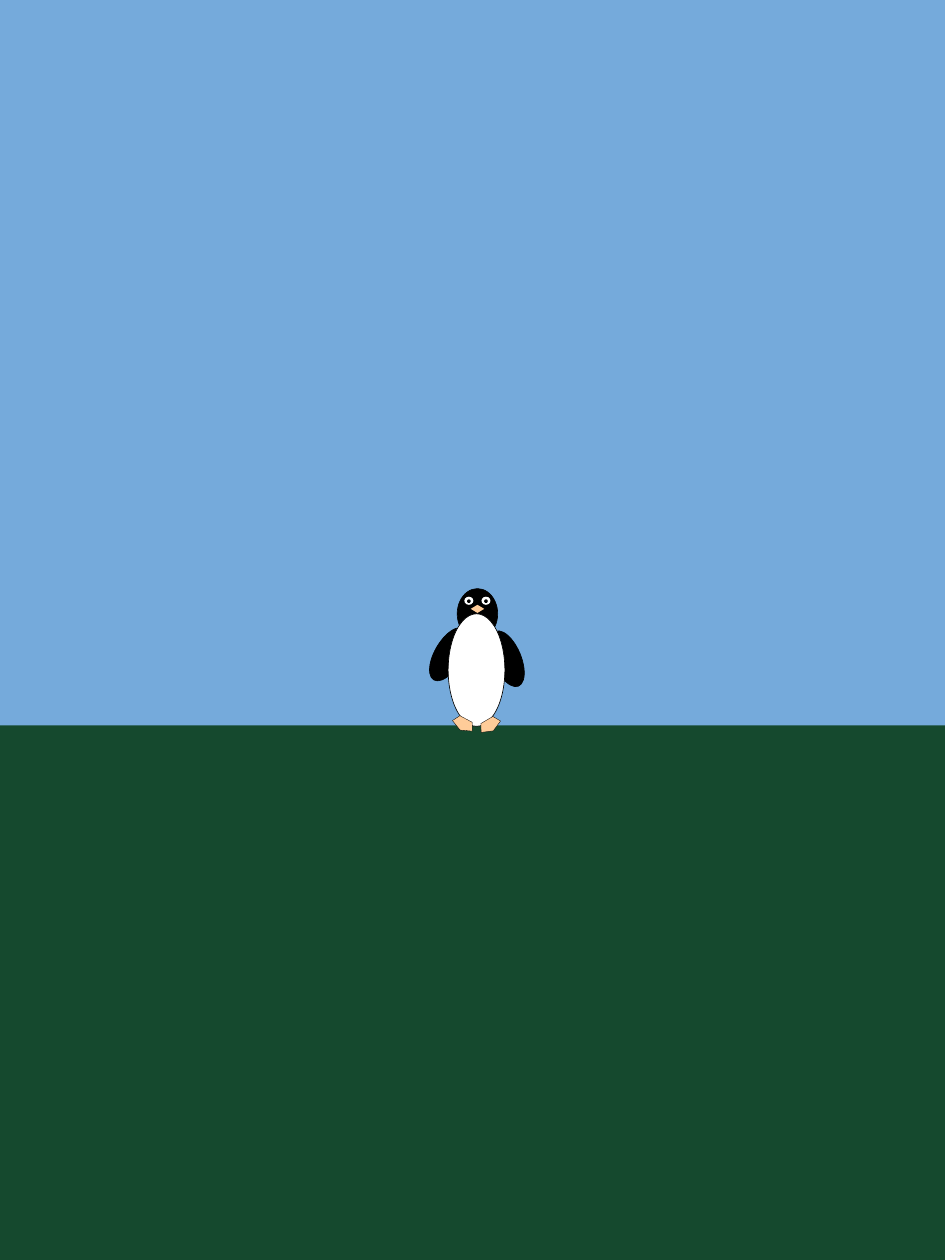
from dataclasses import dataclass

from pptx import Presentation
from pptx.dml.color import RGBColor
from pptx.enum.shapes import MSO_SHAPE
from pptx.util import Inches, Pt

RECTANGLE = MSO_SHAPE.RECTANGLE
OVAL = MSO_SHAPE.OVAL
PENTAGON = MSO_SHAPE.REGULAR_PENTAGON
DIAMOND = MSO_SHAPE.DIAMOND
BLANK_LAYOUT = 6
SLIDE_WIDTH, SLIDE_HEIGHT = 10.5, 14


@dataclass(frozen=True)
class Theme:
    sky: str = "75AADB"
    ground: str = "15492E"
    black: str = "000000"
    white: str = "FFFFFF"
    orange: str = "FFCC99"
    body_line: float = 0.5
    foot_line: float = 0.25


THEME = Theme()


def add_part(shapes, kind, box, fill, line_width=None, rotation=0):
    shape = shapes.add_shape(kind, *(Inches(length) for length in box))
    shape.shadow.inherit = False
    shape.rotation = rotation
    shape.fill.solid()
    shape.fill.fore_color.rgb = RGBColor.from_string(fill)
    if line_width is None:
        shape.line.fill.background()
    else:
        shape.line.color.rgb = RGBColor.from_string(THEME.black)
        shape.line.width = Pt(line_width)


def add_landscape(slide, left, top, width, height, horizon):
    ground_top = horizon - 0.08
    ground_box = (left, top + ground_top, width, height - ground_top)
    add_part(slide.shapes, RECTANGLE, ground_box, THEME.ground)
    add_part(slide.shapes, RECTANGLE, (left, top, width, horizon), THEME.sky)


def add_penguin(slide, left, top):
    penguin = slide.shapes.add_group_shape()
    body_line, foot_line = THEME.body_line, THEME.foot_line
    head = (OVAL, (0.28, 0.04, 0.45, 0.56), THEME.black, body_line, 0)
    left_wing = (OVAL, (0.03, 0.44, 0.31, 0.66), THEME.black, body_line, 30.1)
    right_wing = (OVAL, (0.68, 0.49, 0.31, 0.66), THEME.black, body_line, 337.4)
    belly = (OVAL, (0.18, 0.32, 0.63, 1.25), THEME.white, body_line, 0)
    eyes = [(OVAL, (x, 0.13, 0.1, 0.09), THEME.white, None, 0) for x in (0.36, 0.55)]
    pupils = [(OVAL, (x, 0.16, 0.04, 0.04), THEME.black, None, 0) for x in (0.58, 0.39)]
    left_foot = (PENTAGON, (0.22, 1.48, 0.25, 0.14), THEME.orange, foot_line, 208.1)
    right_foot = (PENTAGON, (0.52, 1.49, 0.25, 0.14), THEME.orange, foot_line, 149.4)
    beak = (DIAMOND, (0.43, 0.22, 0.15, 0.09), THEME.orange, None, 0)
    parts = [head, left_wing, right_wing, belly, *eyes, *pupils, left_foot, right_foot, beak]
    for kind, (x, y, width, height), fill, line_width, rotation in parts:
        box = (left + x, top + y, width, height)
        add_part(penguin.shapes, kind, box, fill, line_width, rotation)


def main():
    presentation = Presentation()
    presentation.slide_width = Inches(SLIDE_WIDTH)
    presentation.slide_height = Inches(SLIDE_HEIGHT)
    slide = presentation.slides.add_slide(presentation.slide_layouts[BLANK_LAYOUT])
    add_landscape(slide, 0, 0, SLIDE_WIDTH, SLIDE_HEIGHT, horizon=8.06)
    add_penguin(slide, 4.8, 6.5)
    presentation.save("out.pptx")


main()
